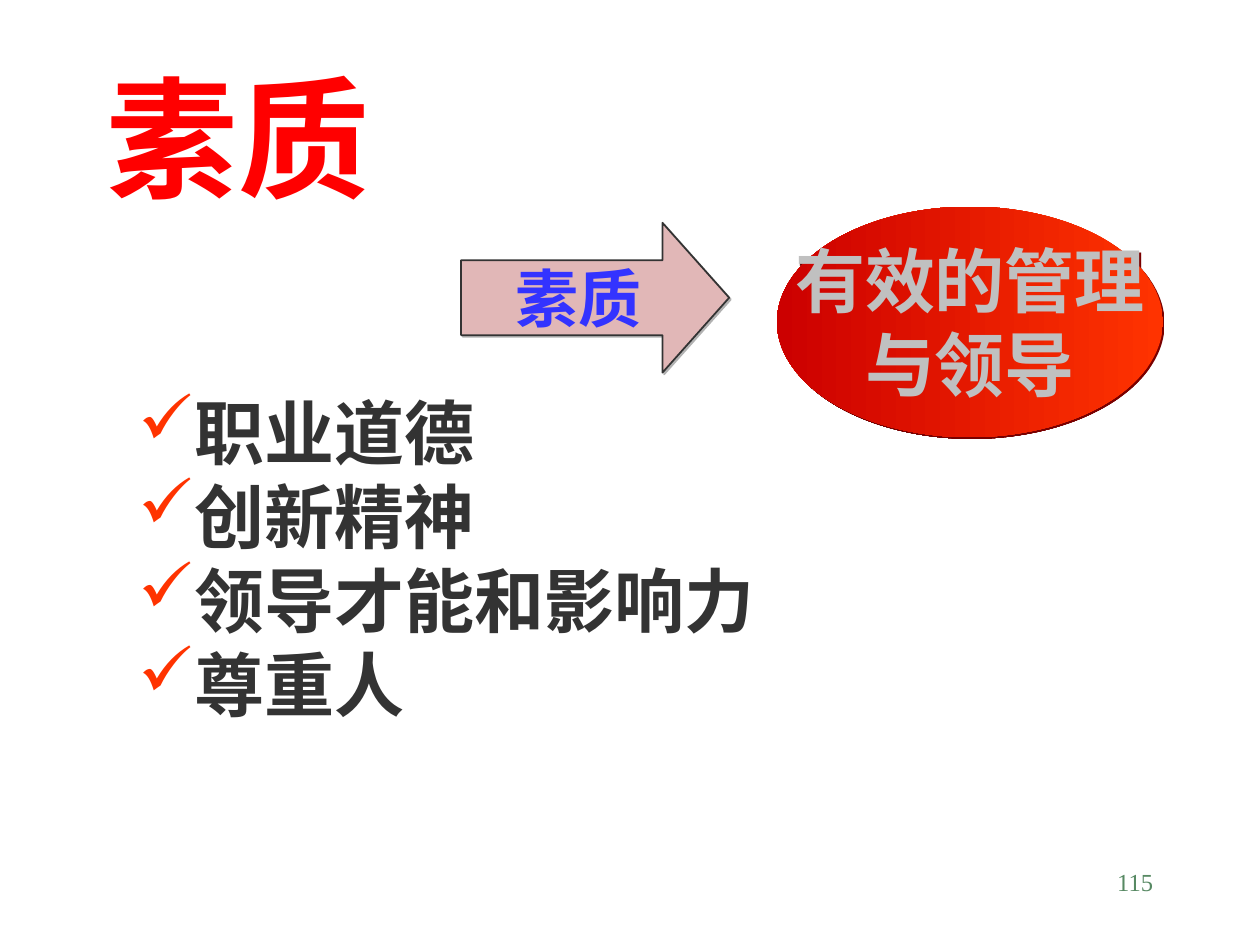
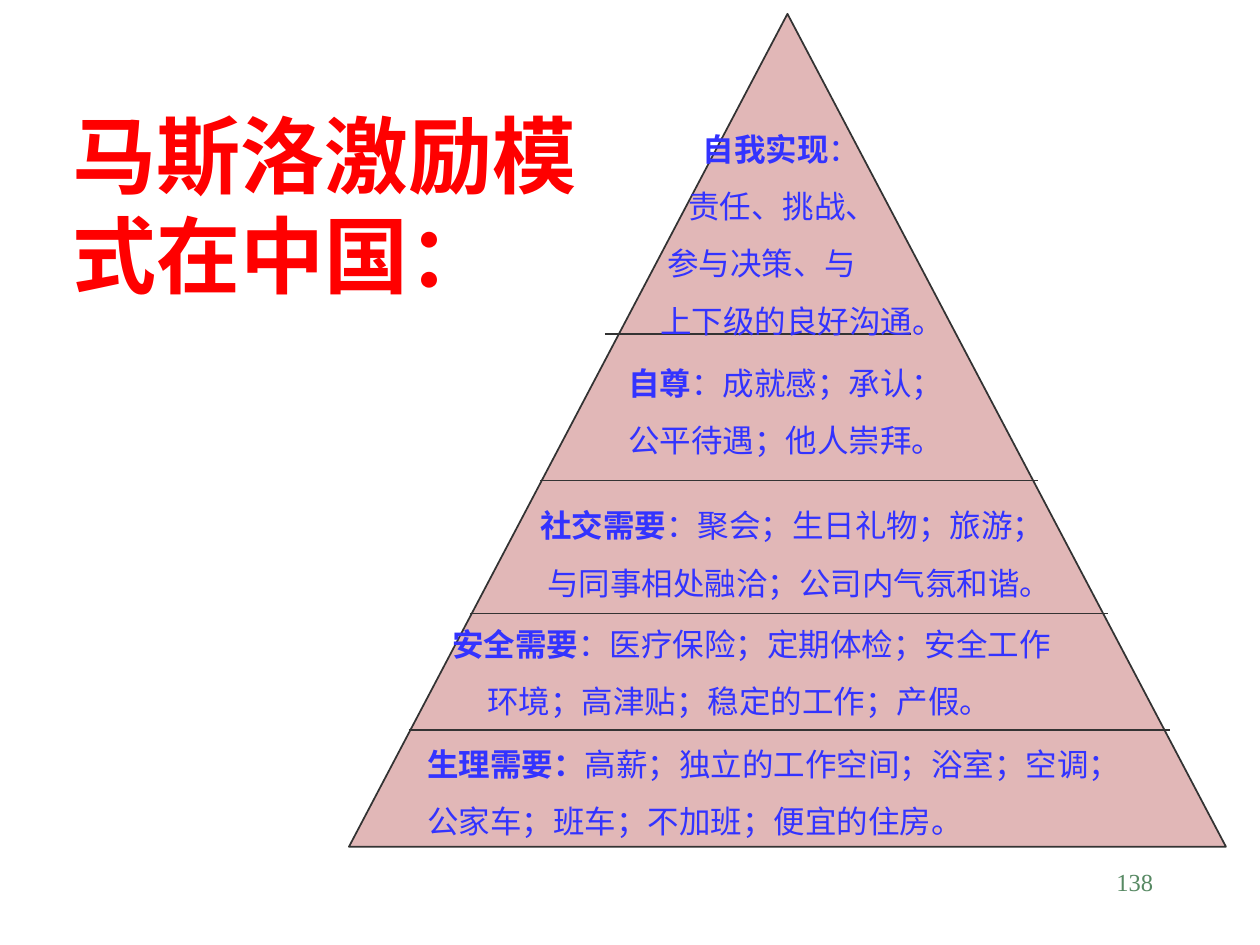
from lxml import etree
from pptx import Presentation, util as u
from pptx.dml.color import RGBColor
from pptx.enum import shapes, text
from pptx.oxml import ns

COLS, ROWS = 100, 75
CELL = u.Inches(0.1)
STEP = u.Inches(0.056)  # one indent step inside the pyramid
RED, BLUE, INK, PINK, GREEN = "FF0000", "3333FF", "333333", "E1B7B7", "578963"
FLAME, DARK, SILVER = "FF3300", "CC0000", "C0C0C0"
LATIN, ASIAN = "Times New Roman", "Cabin"
FOOT = (71.7, 68.3, 20.8, 5)
LEFT, MID, RIGHT = text.PP_ALIGN.LEFT, text.PP_ALIGN.CENTER, text.PP_ALIGN.RIGHT
TOP, CORE, BASE = (text.MSO_ANCHOR.TOP, text.MSO_ANCHOR.MIDDLE,
                   text.MSO_ANCHOR.BOTTOM)


def tone(code):
    return RGBColor.from_string(code)


def cells(*box):
    return [u.Emu(round(n * CELL)) for n in box]


def within(box, x, y, w, h):
    """Box in grid cells from shares of an outer box."""
    left, top, wide, high = box
    return left + x * wide, top + y * high, w * wide, h * high


def add(node, tag, **attrs):
    return etree.SubElement(node, ns.qn(tag), attrs)


def shade(shape, code):
    shape.shadow.inherit = False
    cast = add(shape._element.spPr.find(ns.qn("a:effectLst")), "a:outerShdw",
               blurRad="0", dist=str(u.Pt(1.4)), dir="2700000", algn="ctr",
               rotWithShape="0")
    add(cast, "a:srgbClr", val=code)


def write(shape, lines, size, color, bold=False, face=LATIN, align=LEFT,
          anchor=TOP, wrap=True, gap=0, mark=None):
    """Each line is a pair: indent steps and a list of (words, bold) runs."""
    frame = shape.text_frame
    frame.word_wrap, frame.vertical_anchor = wrap, anchor
    for i, (steps, runs) in enumerate(lines):
        para = frame.add_paragraph() if i else frame.paragraphs[0]
        para.alignment = align
        if i and gap:
            para.space_before = u.Pt(gap)
        props = para._p.get_or_add_pPr()
        props.set("marL", str(steps * STEP))
        props.set("indent", str(-steps * STEP if mark else 0))
        if mark:
            add(add(props, "a:buClr"), "a:srgbClr", val=FLAME)
            add(props, "a:buChar", char=mark)
        for words, heavy in runs:
            run = para.add_run()
            run.text = words
            form = {"size": u.Pt(size), "bold": bold or heavy, "name": face}
            for key, value in form.items():
                setattr(run.font, key, value)
            run.font.color.rgb = tone(color)
            add(run._r.get_or_add_rPr(), "a:ea", typeface=ASIAN)


def plain(*words, steps=0):
    return [(steps, [(word, False)]) for word in words]


def label(slide, box, lines, size, color, **form):
    write(slide.shapes.add_textbox(*cells(*box)), lines, size, color, **form)


def figure(slide, kind, box, fill=None):
    shape = slide.shapes.add_shape(kind, *cells(*box))
    shape.shadow.inherit = False
    if fill:
        shape.fill.solid()
        shape.fill.fore_color.rgb = tone(fill)
        shape.line.color.rgb = tone(INK)
        shape.line.width = u.Pt(1)
    return shape


def rule(slide, left, right, y, width):
    line = slide.shapes.add_connector(shapes.MSO_CONNECTOR.STRAIGHT,
                                      *cells(left, y, right, y))
    line.line.color.rgb = tone(INK)
    line.line.width = u.Pt(width)
    add(line._element.spPr, "a:effectLst")


def footer(slide, number):
    label(slide, FOOT, plain(number), 14, GREEN, align=RIGHT)


def flow(slide, box):
    """Arrow leading to the goal oval."""
    form = {"bold": True, "align": MID, "anchor": CORE, "wrap": False}
    arrow = figure(slide, shapes.MSO_SHAPE.RIGHT_ARROW,
                   within(box, 0, 0.07, 0.382, 0.65), PINK)
    arrow.adjustments[1] = 0.445
    shade(arrow, "B2B2B2")
    write(arrow, plain("素质"), 36, BLUE, **form)

    oval = figure(slide, shapes.MSO_SHAPE.OVAL, within(box, 0.45, 0, 0.55, 1))
    oval.fill.gradient()
    oval.fill.gradient_angle = 180
    for stop, code in zip(oval.fill.gradient_stops, (FLAME, DARK)):
        stop.color.rgb = tone(code)
    oval.line.fill.background()
    shade(oval, "790000")
    write(oval, plain("有效的管理", "与领导"), 40, SILVER, **form)


def traits(slide):
    label(slide, (7.5, 5, 85, 12.5), plain("素质"), 75, RED, bold=True,
          anchor=BASE)
    flow(slide, (36.6, 16.4, 55.7, 18.3))
    points = plain("职业道德", "创新精神", "领导才能和影响力", "尊重人", steps=8)
    label(slide, (10, 30.4, 52.1, 34.4), points, 40, INK, bold=True, mark="✓")
    footer(slide, "115")


TIERS = [
    ((23.4, 58.6, 78.9, 13.2),
     [(17, [("生理需要：", True), ("高薪；独立的工作空间；浴室；空调；", False)]),
      *plain("公家车；班车；不加班；便宜的住房。", steps=17)]),
    ((26.5, 49.1, 59, 16.7),
     [(15, [("安全需要", True), ("：医疗保险；定期体检；安全工作", False)]),
      *plain("环境；高津贴；稳定的工作；产假。", steps=20)]),
    ((31.8, 39.7, 54.2, 16.7),
     [(18, [("社交需要", True), ("：聚会；生日礼物；旅游；", False)]),
      *plain("与同事相处融洽；公司内气氛和谐。", steps=19)]),
    ((42.7, 28.4, 35.9, 16.7),
     [(11, [("自尊", True), ("：成就感；承认；", False)]),
      *plain("公平待遇；他人崇拜。", steps=11)]),
    ((44.7, 9.8, 34.6, 17.7),
     [(18, [("自我实现", True), ("：", False)]),
      *plain("责任、挑战、", steps=16),
      *plain("参与决策、与", steps=13),
      *plain("上下级的良好沟通。", steps=12)]),
]


def pyramid(slide, box):
    left, top, wide, high = box
    figure(slide, shapes.MSO_SHAPE.ISOSCELES_TRIANGLE, box, PINK)
    rule(slide, 48, 72.3, 26.5, 1)
    for place, lines in TIERS:
        label(slide, place, lines, 18, BLUE, gap=11.2)
    for share in (0.86, 0.72, 0.56):  # each rule just overhangs both slopes
        half, center = wide * share / 2, left + wide / 2
        rule(slide, center - half - 0.15, center + half + 0.4,
             top + high * share, 0.75)


def needs(slide):
    pyramid(slide, (27.7, 1.1, 69.6, 66.1))
    label(slide, (4.8, 7.7, 42.6, 17), plain("马斯洛激励模式在中国："), 48, RED,
          bold=True, face=ASIAN)
    footer(slide, "138")


def main():
    deck = Presentation()
    deck.slide_width, deck.slide_height = COLS * CELL, ROWS * CELL
    for build in (traits, needs):
        build(deck.slides.add_slide(deck.slide_layouts[6]))
    deck.save("out.pptx")


if __name__ == "__main__":
    main()
